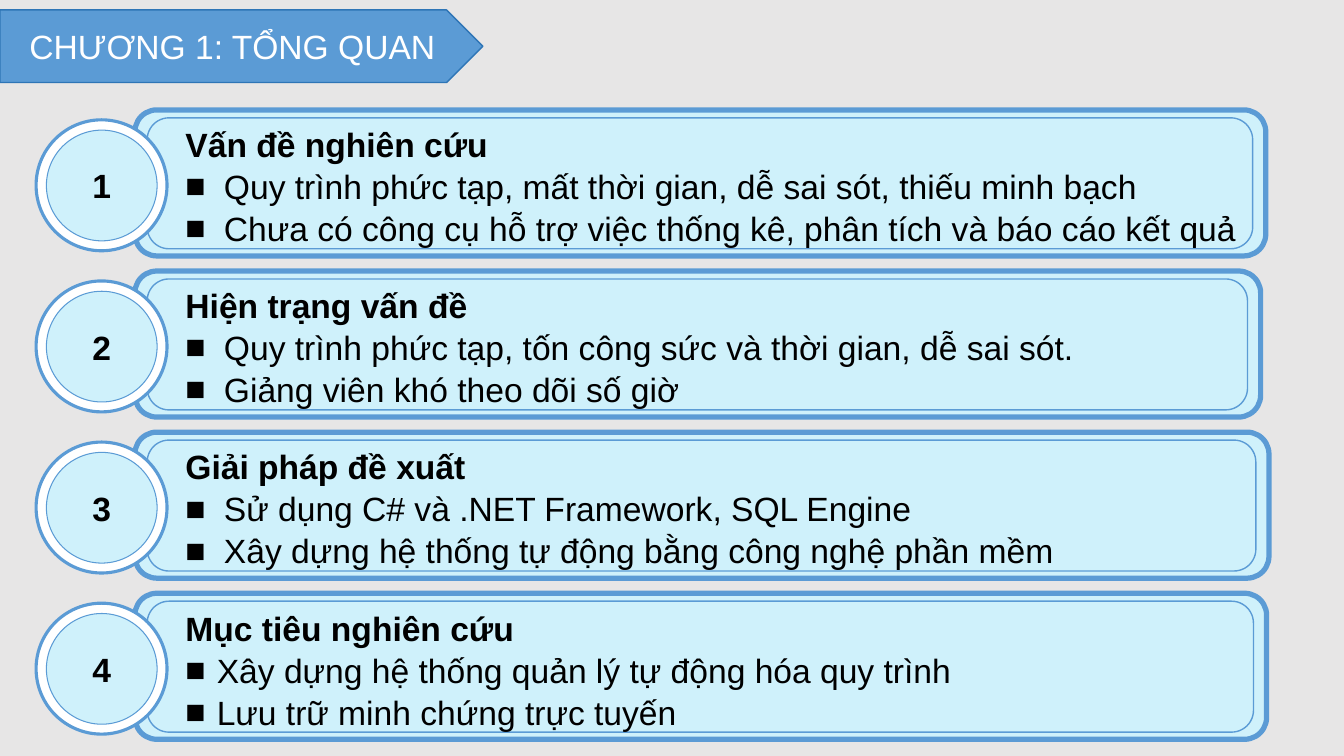
from lxml import etree
from pptx import Presentation
from pptx import util as u
from pptx.dml.color import RGBColor
from pptx.enum import shapes, text
from pptx.oxml import ns

GREY = RGBColor(0xE7, 0xE6, 0xE6)
PALE = RGBColor(0xCF, 0xF1, 0xFB)
BLUE = RGBColor(0x5B, 0x9B, 0xD5)
DARK_BLUE = RGBColor(0x2E, 0x75, 0xB6)
WHITE = RGBColor(0xFF, 0xFF, 0xFF)
BLACK = RGBColor(0, 0, 0)

FIRST_TOP, PITCH = 2.77, 4.06
LEFT, JUSTIFY = text.PP_ALIGN.LEFT, text.PP_ALIGN.JUSTIFY

# Card width, bullet indent, bullet alignment, heading, bullets
CARDS = [
    (28.5, 0.97, LEFT, "Vấn đề nghiên cứu",
     ["Quy trình phức tạp, mất thời gian, dễ sai sót, thiếu minh bạch",
      "Chưa có công cụ hỗ trợ việc thống kê, phân tích và báo cáo kết quả"]),
    (28.37, 0.97, LEFT, "Hiện trạng vấn đề",
     ["Quy trình phức tạp, tốn công sức và thời gian, dễ sai sót.",
      "Giảng viên khó theo dõi số giờ"]),
    (28.58, 0.97, LEFT, "Giải pháp đề xuất",
     ["Sử dụng C# và .NET Framework, SQL Engine",
      "Xây dựng hệ thống tự động bằng công nghệ phần mềm"]),
    (28.52, 0.79, JUSTIFY, "Mục tiêu nghiên cứu",
     ["Xây dựng hệ thống quản lý tự động hóa quy trình",
      "Lưu trữ minh chứng trực tuyến"]),
]


def add_panel(kind, left, top, width, height, fill, line, weight):
    shape = slide.shapes.add_shape(kind, u.Cm(left), u.Cm(top), u.Cm(width), u.Cm(height))
    shape.shadow.inherit = False
    shape.fill.solid()
    shape.fill.fore_color.rgb = fill
    shape.line.color.rgb = line
    shape.line.width = u.Pt(weight)
    return shape


def add_text(paragraph, words, color, bold, alignment):
    paragraph.alignment = alignment
    paragraph.line_spacing = 1.0
    paragraph.space_before = paragraph.space_after = u.Pt(0)
    run = paragraph.add_run()
    run.text = words
    run.font.name = "Arial"
    run.font.size = u.Pt(24)
    run.font.bold = bold
    run.font.color.rgb = color


presentation = Presentation()
presentation.slide_width, presentation.slide_height = u.Cm(33.87), u.Cm(19.05)
# The comparison layout offers one title and four text bodies
slide = presentation.slides.add_slide(presentation.slide_layouts[4])
slide.background.fill.solid()
slide.background.fill.fore_color.rgb = GREY
title = slide.shapes.title
bodies = [shape for shape in slide.placeholders if shape.placeholder_format.idx > 0]

for index, (body, card) in enumerate(zip(bodies, CARDS)):
    width, indent, alignment, heading, bullets = card
    top = FIRST_TOP + index * PITCH

    # Double-framed card
    outer = add_panel(shapes.MSO_SHAPE.ROUNDED_RECTANGLE, 3.4, top, width, 3.68, PALE, BLUE, 3.75)
    outer.adjustments[0] = 0.15
    add_panel(shapes.MSO_SHAPE.ROUNDED_RECTANGLE, 3.71, top + 0.2, width - 0.64, 3.3, PALE, BLUE, 1)

    # Heading and bullets, lifted above the card
    body.left, body.top, body.width, body.height = u.Cm(4.42), u.Cm(top + 0.23), u.Cm(27.1), u.Cm(3.25)
    slide.shapes._spTree.append(body._element)
    frame = body.text_frame
    frame.word_wrap = True
    frame.auto_size = text.MSO_AUTO_SIZE.NONE
    frame.vertical_anchor = text.MSO_ANCHOR.TOP
    add_text(frame.paragraphs[0], heading, BLACK, True, LEFT)
    properties = frame.paragraphs[0]._p.get_or_add_pPr()
    properties.set("marL", "0")
    properties.set("indent", "0")
    etree.SubElement(properties, ns.qn("a:buNone"))
    for words in bullets:
        paragraph = frame.add_paragraph()
        add_text(paragraph, words, BLACK, False, alignment)
        paragraph.space_before = u.Pt(1.2)
        properties = paragraph._p.get_or_add_pPr()
        properties.set("marL", str(u.Cm(indent)))
        properties.set("indent", str(-u.Cm(indent)))
        etree.SubElement(properties, ns.qn("a:buFont"), typeface="Arial")
        etree.SubElement(properties, ns.qn("a:buChar"), char="■")

    # Numbered badge
    add_panel(shapes.MSO_SHAPE.OVAL, 0.91, top + 0.25, 3.3, 3.3, WHITE, BLUE, 2.25)
    disc = add_panel(shapes.MSO_SHAPE.OVAL, 1.17, top + 0.51, 2.79, 2.79, PALE, BLUE, 0.75)
    disc.text_frame.vertical_anchor = text.MSO_ANCHOR.MIDDLE
    add_text(disc.text_frame.paragraphs[0], str(index + 1), BLACK, True, text.PP_ALIGN.CENTER)

# Chapter banner with the title on top
add_panel(shapes.MSO_SHAPE.PENTAGON, 0, 0.25, 12.17, 1.83, BLUE, DARK_BLUE, 1)
title.left, title.top, title.width, title.height = u.Cm(0), u.Cm(0.25), u.Cm(11.71), u.Cm(1.83)
slide.shapes._spTree.append(title._element)
title.text_frame.word_wrap = True
title.text_frame.auto_size = text.MSO_AUTO_SIZE.NONE
title.text_frame.vertical_anchor = text.MSO_ANCHOR.MIDDLE
add_text(title.text_frame.paragraphs[0], "CHƯƠNG 1: TỔNG QUAN", WHITE, False, text.PP_ALIGN.CENTER)

presentation.save("out.pptx")
